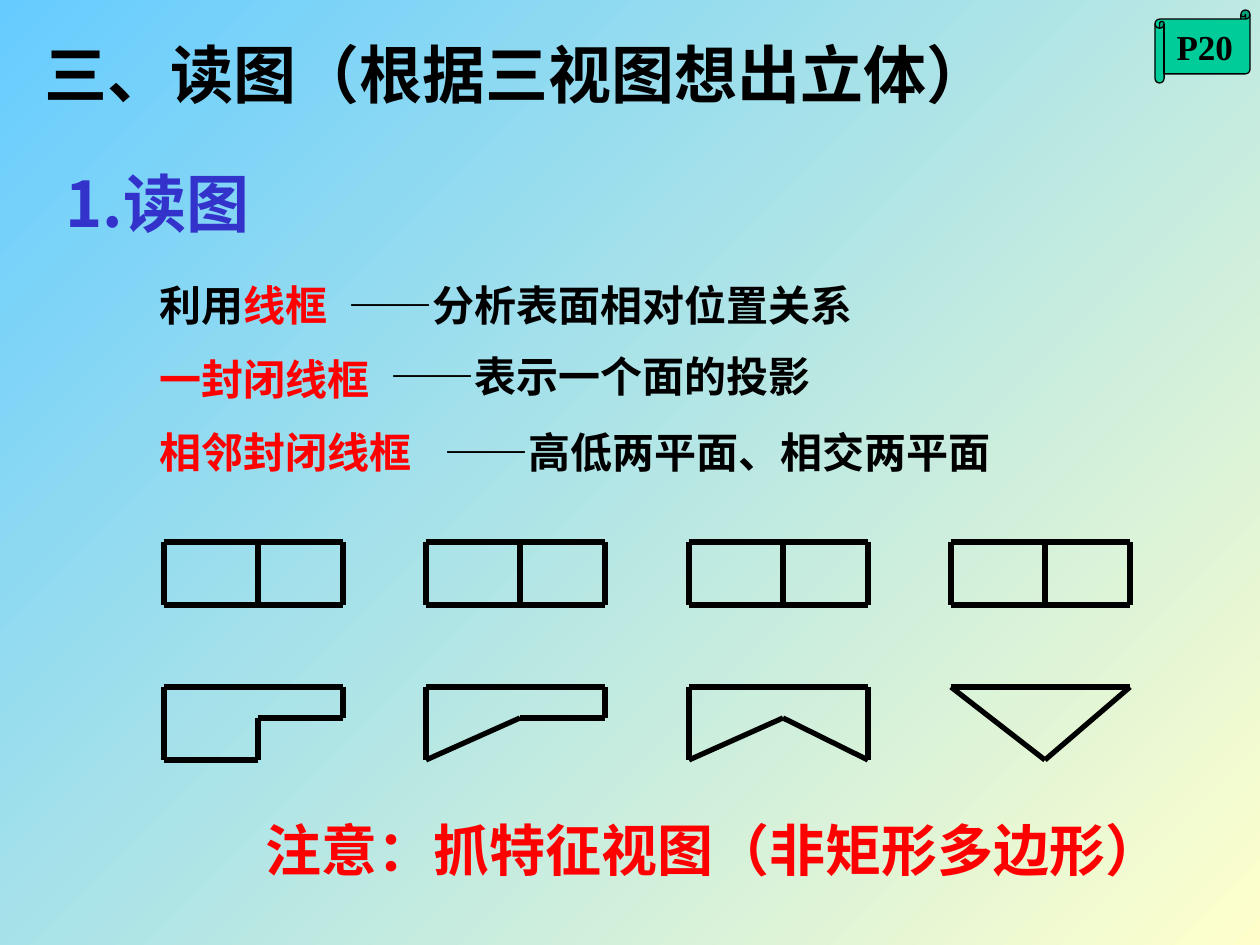
from dataclasses import dataclass

from lxml.etree import SubElement
from pptx import Presentation
from pptx.dml.color import RGBColor as RGB
from pptx.enum.shapes import MSO_CONNECTOR as Connector, MSO_SHAPE as Shape
from pptx.enum.text import MSO_ANCHOR as Anchor, MSO_AUTO_SIZE as AutoSize, PP_ALIGN as Align
from pptx.oxml.ns import qn
from pptx.util import Pt

SCALE = 914400 / 126


@dataclass(frozen=True)
class Theme:
    ink: RGB = RGB(0x00, 0x00, 0x00)
    accent: RGB = RGB(0xFF, 0x00, 0x00)
    section: RGB = RGB(0x33, 0x33, 0xCC)
    scroll: RGB = RGB(0x00, 0xCC, 0x99)
    sky: RGB = RGB(0x66, 0xCC, 0xFF)
    cream: RGB = RGB(0xFF, 0xFF, 0xCC)
    serif: str = "Times New Roman"
    sans: str = "Noto Sans CJK SC"
    heading: int = 36
    notice: int = 32
    body: int = 24
    page: int = 20


THEME = Theme()

STATEMENTS = [
    ((147, 273, 347), [("利用", THEME.ink), ("线框", THEME.accent)], THEME.sans,
     (336, 273, 725), "分析表面相对位置关系", THEME.sans),
    ((147, 347, 275), [("一封闭线框", THEME.accent)], THEME.sans,
     (378, 344, 588), "表示一个面的投影", THEME.sans),
    ((147, 420, 284), [("相邻封闭线框", THEME.accent)], THEME.serif,
     (432, 420, 651), "高低两平面、相交两平面", THEME.serif),
]

VIEW_LEFTS = [164 + i * 525 // 2 for i in range(4)]
MIDDLE, RIGHT = 94, 179
FRONT_TOP, FRONT_BOTTOM = 542, 605
PLAN_TOP, PLAN_STEP, PLAN_BOTTOM = 687, 718, 760

PLAN_OUTLINES = [
    [(0, PLAN_TOP), (RIGHT, PLAN_TOP), (RIGHT, PLAN_STEP), (MIDDLE, PLAN_STEP),
     (MIDDLE, PLAN_BOTTOM), (0, PLAN_BOTTOM)],
    [(0, PLAN_TOP), (RIGHT, PLAN_TOP), (RIGHT, PLAN_STEP), (MIDDLE, PLAN_STEP),
     (0, PLAN_BOTTOM)],
    [(0, PLAN_TOP), (RIGHT, PLAN_TOP), (RIGHT, PLAN_BOTTOM), (MIDDLE, PLAN_STEP),
     (0, PLAN_BOTTOM)],
    [(0, PLAN_TOP), (RIGHT, PLAN_TOP), (MIDDLE, PLAN_BOTTOM)],
]


def px(length):
    return round(length * SCALE)


def paint_background(slide):
    fill = slide.background.fill
    fill.gradient()
    fill.gradient_angle = 315
    for stop, color, position in zip(fill.gradient_stops, (THEME.sky, THEME.cream), (0, 1)):
        stop.color.rgb = color
        stop.position = position


def write(frame, parts, size, align=Align.LEFT):
    paragraph = frame.paragraphs[0]
    paragraph.alignment = align
    paragraph.space_before = Pt(0)
    paragraph.font.size = Pt(size)
    paragraph.font.bold = True
    for text, color, face in parts:
        run = paragraph.add_run()
        run.text = text
        run.font.color.rgb = color
        run.font.name = face
    if len(parts) == 1:
        paragraph.font.name = face
        paragraph.font.color.rgb = color


def format_frame(frame, parts, size):
    frame.word_wrap = True
    frame.auto_size = AutoSize.SHAPE_TO_FIT_TEXT
    frame.vertical_anchor = Anchor.TOP
    write(frame, parts, size)


def place_title(slide, box, text):
    title = slide.shapes.title
    title.left, title.top, title.width, title.height = map(px, box)
    format_frame(title.text_frame, [(text, THEME.ink, THEME.serif)], THEME.heading)


def add_text(slide, box, parts, size):
    label = slide.shapes.add_textbox(*map(px, box))
    format_frame(label.text_frame, parts, size)


def add_statement(slide, term_box, term, term_face, meaning_box, meaning, meaning_face):
    add_text(slide, (*term_box, 63), [(text, color, term_face) for text, color in term],
             THEME.body)
    add_text(slide, (*meaning_box, 63),
             [("——", THEME.ink, THEME.serif), (meaning, THEME.ink, meaning_face)], THEME.body)


def add_edge(group, start, end):
    edge = group.shapes.add_connector(Connector.STRAIGHT, *map(px, (*start, *end)))
    edge.line.color.rgb = THEME.ink
    edge.line.width = Pt(3)
    SubElement(edge._element.spPr, qn("a:effectLst"))


def add_outline(group, left, corners):
    points = [(left + x, y) for x, y in corners]
    for start, end in zip(points, points[1:] + points[:1]):
        add_edge(group, start, end)


def add_views(slide):
    fronts = slide.shapes.add_group_shape()
    frame = [(0, FRONT_TOP), (RIGHT, FRONT_TOP), (RIGHT, FRONT_BOTTOM), (0, FRONT_BOTTOM)]
    for left, corners in zip(VIEW_LEFTS, PLAN_OUTLINES):
        add_outline(fronts, left, frame)
        add_edge(fronts, (left + MIDDLE, FRONT_TOP), (left + MIDDLE, FRONT_BOTTOM))
        add_outline(slide.shapes.add_group_shape(), left, corners)


def add_page_scroll(slide, box, text):
    scroll = slide.shapes.add_shape(Shape.HORIZONTAL_SCROLL, *map(px, box))
    scroll.shadow.inherit = False
    scroll.fill.solid()
    scroll.fill.fore_color.rgb = THEME.scroll
    scroll.line.color.rgb = THEME.ink
    scroll.line.width = Pt(0.75)
    scroll.text_frame.word_wrap = False
    scroll.text_frame.vertical_anchor = Anchor.MIDDLE
    write(scroll.text_frame, [(text, THEME.ink, THEME.serif)], THEME.page, Align.CENTER)


def main():
    deck = Presentation()
    deck.slide_width, deck.slide_height = px(1260), px(945)
    slide = deck.slides.add_slide(deck.slide_layouts[5])
    paint_background(slide)
    place_title(slide, (32, 29, 1113, 88), "三、读图（根据三视图想出立体）")
    add_text(slide, (53, 158, 320, 88), [("1.读图", THEME.section, THEME.sans)], THEME.heading)
    for statement in STATEMENTS:
        add_statement(slide, *statement)
    add_views(slide)
    add_text(slide, (253, 809, 983, 81),
             [("注意：抓特征视图（非矩形多边形）", THEME.accent, THEME.serif)], THEME.notice)
    add_page_scroll(slide, (1155, 10, 95, 73), "P20")
    deck.save("out.pptx")


if __name__ == "__main__":
    main()
